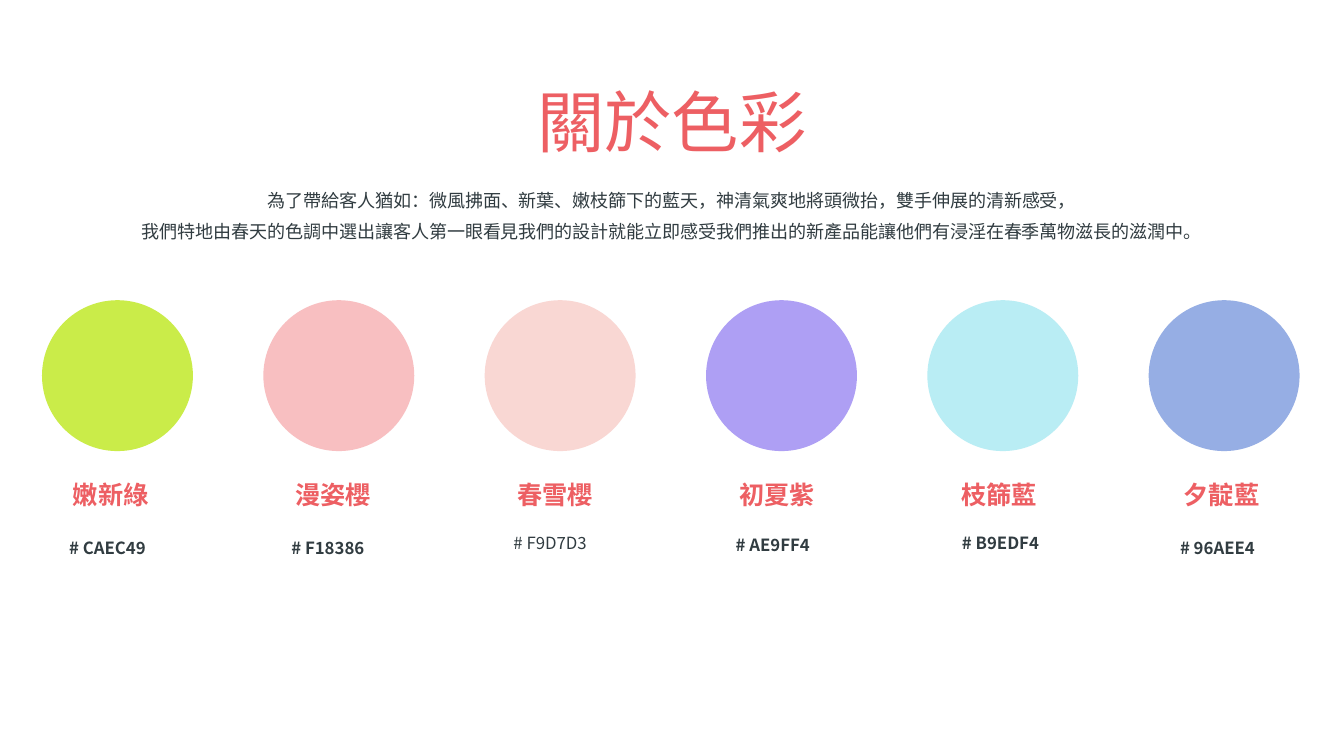
import pptx
import pptx.dml.color
import pptx.enum.shapes
import pptx.enum.text
import pptx.oxml.ns
import pptx.util
from lxml import etree

Pt = pptx.util.Pt
RGBColor = pptx.dml.color.RGBColor
PP_ALIGN = pptx.enum.text.PP_ALIGN
MSO_ANCHOR = pptx.enum.text.MSO_ANCHOR
qn = pptx.oxml.ns.qn

CORAL = RGBColor(0xED, 0x5F, 0x63)
SLATE = RGBColor(0x31, 0x3C, 0x41)
LIME = RGBColor(0xCA, 0xEC, 0x49)
PINK = RGBColor(0xF8, 0xBF, 0xC1)
BLUSH = RGBColor(0xF9, 0xD7, 0xD3)
VIOLET = RGBColor(0xAE, 0x9F, 0xF4)
AQUA = RGBColor(0xB9, 0xED, 0xF4)
INDIGO = RGBColor(0x96, 0xAE, 0xE4)

INTRO = [
    "為了帶給客人猶如：微風拂面、新葉、嫩枝篩下的藍天，神清氣爽地將頭微抬，雙手伸展的清新感受，",
    "我們特地由春天的色調中選出讓客人第一眼看見我們的設計就能立即感受我們推出的新產品能讓他們有浸淫在春季萬物滋長的滋潤中。",
]

SWATCHES = [
    ("嫩新綠", "# CAEC49", LIME, 0, 373, True),
    ("漫姿櫻", "# F18386", PINK, 0, 373, True),
    ("春雪櫻", "# F9D7D3", BLUSH, 0, 370, False),
    ("初夏紫", "# AE9FF4", VIOLET, 0, 371.5, True),
    ("枝篩藍", "# B9EDF4", AQUA, 2.9, 370, True),
    ("夕靛藍", "# 96AEE4", INDIGO, 0, 373, True),
]


class Deck:
    """Holds the slide style and draws each kind of element on the current slide."""

    font = "Noto Sans CJK TC"

    def __init__(self, prs):
        self.s = prs.slides.add_slide(prs.slide_layouts[5])

    def fill_text(self, sp, lines, size, color, align, spacing=1.0, before=0,
                  bold=False, font=None, anchor=MSO_ANCHOR.TOP):
        tf = sp.text_frame
        tf.word_wrap = True
        tf.vertical_anchor = anchor
        for i, line in enumerate(lines):
            p = tf.add_paragraph() if i else tf.paragraphs[0]
            p.text = line
            p.alignment = align
            p.line_spacing = spacing
            p.space_before = Pt(before if i else 0)
            p.font.size = Pt(size)
            p.font.bold = bold
            p.font.color.rgb = color
            p.font.name = font or self.font
            latin = p._p.pPr.find(qn("a:defRPr")).find(qn("a:latin"))
            ea = etree.Element(qn("a:ea"), typeface=font or self.font)
            latin.addnext(ea)

    def title(self, text, x, y, w, h):
        sp = self.s.shapes.title
        sp.left, sp.top, sp.width, sp.height = Pt(x), Pt(y), Pt(w), Pt(h)
        self.fill_text(sp, [text], 48, CORAL, PP_ALIGN.CENTER, 0.9,
                       anchor=MSO_ANCHOR.MIDDLE)

    def text(self, lines, x, y, w, h, *args, **style):
        sp = self.s.shapes.add_textbox(Pt(x), Pt(y), Pt(w), Pt(h))
        self.fill_text(sp, lines, *args, **style)

    def circle(self, x, y, d, color):
        sp = self.s.shapes.add_shape(
            pptx.enum.shapes.MSO_SHAPE.OVAL, Pt(x), Pt(y), Pt(d), Pt(d))
        sp.shadow.inherit = False
        sp.fill.solid()
        sp.fill.fore_color.rgb = color
        sp.line.fill.background()


def main():
    prs = pptx.Presentation()
    prs.slide_width, prs.slide_height = Pt(960), Pt(540)
    deck = Deck(prs)
    deck.title("關於色彩", 66, 67, 828, 45)
    deck.text(INTRO, 66, 134.5, 828, 57.5, 12.9, SLATE, PP_ALIGN.CENTER,
              spacing=0.8, before=10, font="Lato")
    for i, (name, code, color, dx, top, bold) in enumerate(SWATCHES):
        deck.circle(30 + 158.1 * i, 214.4, 107.8, color)
        x = 42.3 + 158.7 * i
        deck.text([name], x, 339, 73.5, 29, 18, CORAL, PP_ALIGN.CENTER, bold=True)
        deck.text([code], x + dx, top, 73.5, 27, 12, SLATE, PP_ALIGN.JUSTIFY,
                  spacing=1.5, bold=bold)
    prs.save("out.pptx")


if __name__ == "__main__":
    main()
